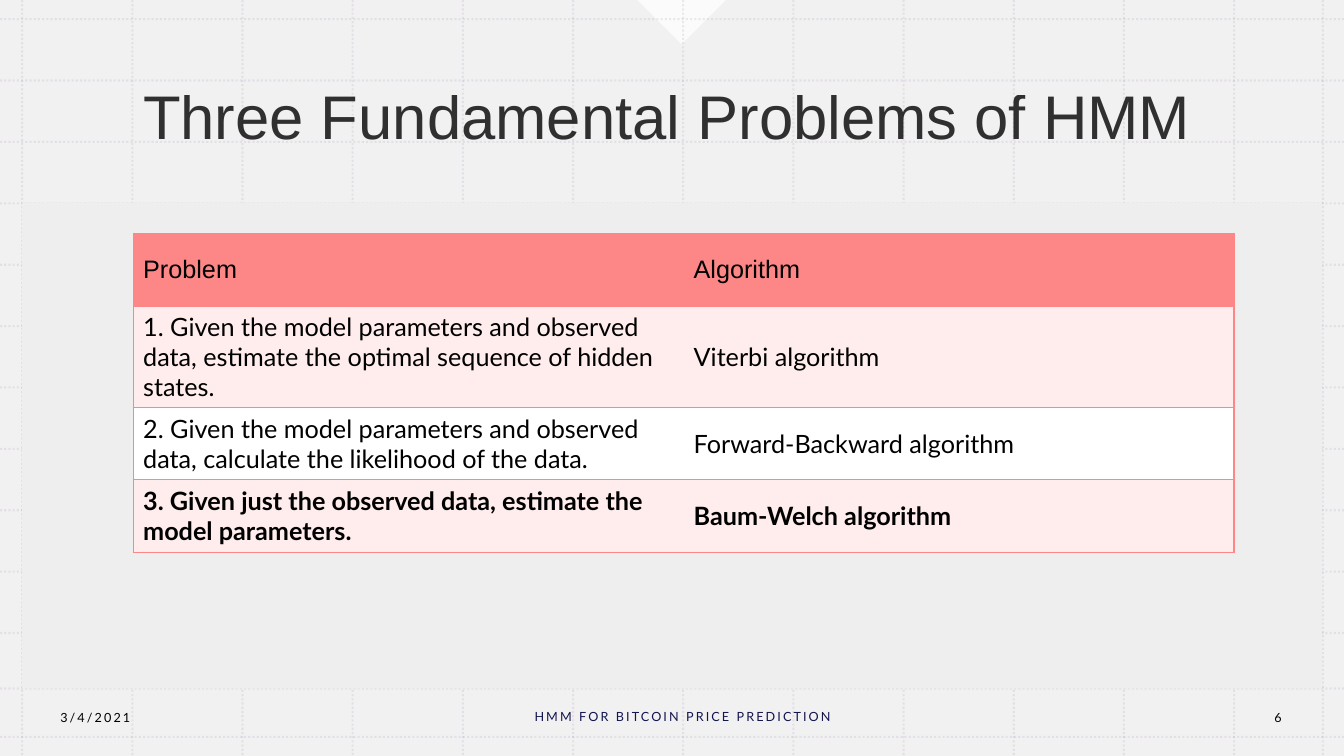
from dataclasses import dataclass

from lxml.etree import SubElement
from pptx import Presentation
from pptx.dml.color import RGBColor
from pptx.enum.dml import MSO_LINE
from pptx.enum.shapes import MSO_CONNECTOR, MSO_SHAPE
from pptx.enum.text import MSO_ANCHOR, PP_ALIGN
from pptx.oxml import parse_xml
from pptx.oxml.ns import nsdecls, qn
from pptx.util import Inches, Pt


@dataclass(frozen=True)
class Theme:
    heading_font: str = "Arial"
    body_font: str = "Lato"
    title_size: int = 44
    table_size: int = 18
    footer_size: int = 9
    black: str = "000000"
    white: str = "FFFFFF"
    panel: str = "EEEEEE"
    grid: str = "B495C2"
    accent: str = "FD8686"
    tint: str = "FFEDED"
    footer: str = "12154E"


PLAIN_TABLE_STYLE = "{2D5ABB26-0587-4C30-8999-92F81FD0307C}"


def set_alpha(fill_owner, percent):
    """Make the solid colour inside an XML element partly transparent."""
    color = next(fill_owner.iter(qn("a:srgbClr")))
    SubElement(color, qn("a:alpha")).set("val", str(percent * 1000))


class SlideBuilder:
    def __init__(self, deck, theme):
        self.theme = theme
        self.page = deck.slides.add_slide(deck.slide_layouts[6])

    def shape(self, kind, left, top, width, height, color, alpha=100, rotation=0):
        shape = self.page.shapes.add_shape(
            kind, Inches(left), Inches(top), Inches(width), Inches(height))
        shape.shadow.inherit = False
        shape.fill.solid()
        shape.fill.fore_color.rgb = RGBColor.from_string(color)
        set_alpha(shape.fill._xPr.find(qn("a:solidFill")), alpha)
        shape.line.fill.background()
        shape.rotation = rotation

    def grid_line(self, x1, y1, x2, y2):
        connector = self.page.shapes.add_connector(
            MSO_CONNECTOR.STRAIGHT, Inches(x1), Inches(y1), Inches(x2), Inches(y2))
        connector.line.color.rgb = RGBColor.from_string(self.theme.grid)
        connector.line.width = Pt(1.5)
        connector.line.dash_style = MSO_LINE.ROUND_DOT
        set_alpha(connector.line._ln, 20)
        SubElement(connector._element.spPr, qn("a:effectLst"))

    def span(self, para, text, size, font, color, bold=False):
        span = para.add_run()
        span.text = text
        span.font.size = Pt(size)
        span.font.name = font
        span.font.bold = bold
        span.font.color.rgb = RGBColor.from_string(color)
        return span

    def text_box(self, left, top, width, height, align):
        """Add an empty text box and return its paragraph."""
        box = self.page.shapes.add_textbox(
            Inches(left), Inches(top), Inches(width), Inches(height))
        box.text_frame.word_wrap = True
        box.text_frame.vertical_anchor = MSO_ANCHOR.MIDDLE
        para = box.text_frame.paragraphs[0]
        para.alignment = align
        return para

    def title(self, text, left, top, width, height):
        para = self.text_box(left, top, width, height, PP_ALIGN.CENTER)
        para.line_spacing = 0.9
        span = self.span(para, text, self.theme.title_size,
                         self.theme.heading_font, self.theme.black)
        set_alpha(span._r, 80)

    def footer(self, text, left, top, width, align, color, space_after=0):
        para = self.text_box(left, top, width, 0.4, align)
        para.space_after = Pt(space_after)
        span = self.span(para, text, self.theme.footer_size, self.theme.body_font, color)
        span._r.get_or_add_rPr().set("spc", "150")

    def border(self, cell, sides):
        """Draw the named cell sides, given in the order L, R, T, B."""
        properties = cell._tc.get_or_add_tcPr()
        for index, side in enumerate(sides):
            properties.insert(index, parse_xml(
                f'<a:ln{side} {nsdecls("a")} w="{Pt(1)}"><a:solidFill>'
                f'<a:srgbClr val="{self.theme.accent}"/></a:solidFill></a:ln{side}>'))

    def table(self, rows, left, top, width, heights):
        theme = self.theme
        table = self.page.shapes.add_table(
            len(rows), len(rows[0]), Inches(left), Inches(top),
            Inches(width), Inches(sum(heights))).table
        table.horz_banding = False
        table._tbl.tblPr.find(qn("a:tableStyleId")).text = PLAIN_TABLE_STYLE
        row_fills = [theme.accent, theme.tint, theme.white, theme.tint]
        for row_index, row in enumerate(rows):
            table.rows[row_index].height = Inches(heights[row_index])
            font = theme.body_font if row_index else theme.heading_font
            for column_index, text in enumerate(row):
                cell = table.cell(row_index, column_index)
                cell.vertical_anchor = MSO_ANCHOR.MIDDLE
                cell.fill.solid()
                cell.fill.fore_color.rgb = RGBColor.from_string(row_fills[row_index])
                self.border(cell, "RTB" if column_index else "LTB")
                self.span(cell.text_frame.paragraphs[0], text, theme.table_size,
                          font, theme.black, bold=row_index == len(rows) - 1)


def main():
    deck = Presentation()
    deck.slide_width, deck.slide_height = Inches(13.33), Inches(7.5)
    theme = Theme()
    slide = SlideBuilder(deck, theme)

    slide.shape(MSO_SHAPE.RECTANGLE, 0, 0, 13.33, 7.5, theme.panel, alpha=80)
    slide.shape(MSO_SHAPE.RIGHT_TRIANGLE, 6.45, -0.31, 0.62, 0.62, theme.white,
                alpha=75, rotation=315)
    for x in [0.22 + 12.02 / 11 * step for step in range(12)] + [13.12]:
        slide.grid_line(x, 0, x, 7.5)
    for y in [0.19 + 0.609 * step for step in range(11)] + [6.83, 7.31]:
        slide.grid_line(0, y, 13.33, y)
    slide.shape(MSO_SHAPE.RECTANGLE, 0.22, 2.01, 12.89, 4.82, theme.panel)

    slide.title("Three Fundamental Problems of HMM", 0.33, 0.37, 12.58, 1.64)
    slide.table([
        ("Problem", "Algorithm"),
        ("1. Given the model parameters and observed data, estimate the optimal "
         "sequence of hidden states.", "Viterbi algorithm"),
        ("2. Given the model parameters and observed data, calculate the "
         "likelihood of the data.", "Forward-Backward algorithm"),
        ("3. Given just the observed data, estimate the model parameters.",
         "Baum-Welch algorithm"),
    ], 1.32, 2.32, 10.92, [0.72, 1, 0.72, 0.72])

    slide.footer("3/4/2021", 0.5, 6.92, 2.8, PP_ALIGN.LEFT, theme.black)
    slide.footer("6", 12.24, 6.92, 0.87, PP_ALIGN.CENTER, theme.black)
    slide.footer("HMM FOR BITCOIN PRICE PREDICTION", 4.59, 6.91, 4.36,
                 PP_ALIGN.CENTER, theme.footer, space_after=6)
    deck.save("out.pptx")


if __name__ == "__main__":
    main()
